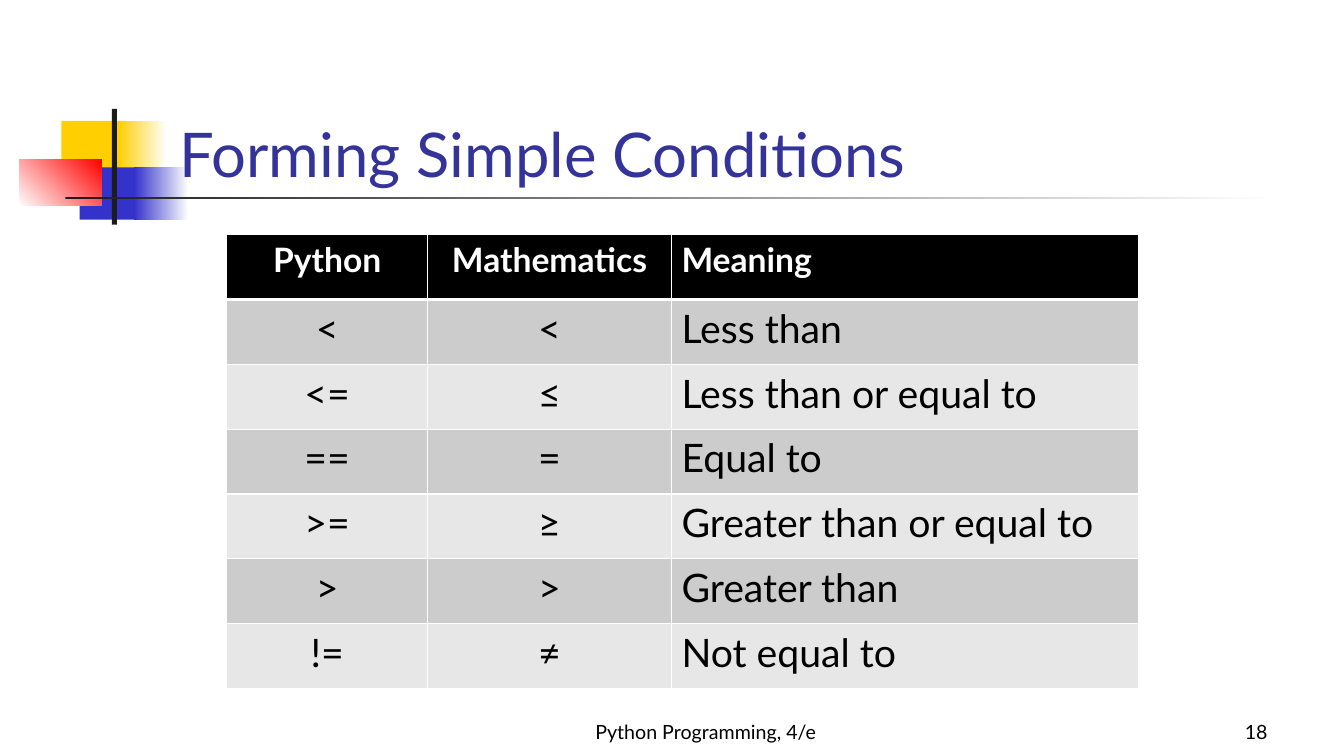
import pptx
import pptx.dml.color
import pptx.enum.shapes
import pptx.enum.text
import pptx.oxml
import pptx.oxml.ns
import pptx.util
from dataclasses import dataclass

Inches, Pt = pptx.util.Inches, pptx.util.Pt
Align, Anchor = pptx.enum.text.PP_ALIGN, pptx.enum.text.MSO_ANCHOR


@dataclass(frozen=True)
class Theme:
    font: str = "Lato"
    title: str = "333399"
    ink: str = "000000"
    paper: str = "FFFFFF"
    yellow: str = "FFCF01"
    blue: str = "3333CC"
    red: str = "FF0000"
    rule: str = "1C1C1C"
    bands: tuple = ("CCCCCC", "E7E7E7")
    title_size: int = 44
    body_size: int = 28
    header_size: int = 24
    footer_size: int = 14


THEME = Theme()
SLIDE = (13.33, 7.5)

TEXTS = [
    ("Python Programming, 4/e", (4.89, 6.92, 4.22, 0.5), Align.CENTER, THEME.footer_size, THEME.ink),
    ("18", (9.89, 6.92, 2.78, 0.5), Align.RIGHT, THEME.footer_size, THEME.ink),
    ("Forming Simple Conditions", (1.68, 0.68, 11.36, 1.25), Align.LEFT, THEME.title_size, THEME.title),
]

ORNAMENTS = [
    ((0.61, 1.2, 0.64, 0.52), (THEME.yellow,), 0),
    ((1.17, 1.2, 0.48, 0.52), (THEME.yellow, THEME.paper), 0),
    ((0.79, 1.66, 0.62, 0.52), (THEME.blue,), 0),
    ((1.33, 1.66, 0.54, 0.52), (THEME.blue, THEME.paper), 0),
    ((0.19, 1.58, 0.82, 0.46), (THEME.paper, THEME.red), 45),
    ((1.11, 1.08, 0.05, 1.15), (THEME.rule,), 0),
    ((0.65, 1.95, 12, 0.03), (THEME.rule, THEME.paper), 0),
]

CONDITIONS = [
    ("Python", "Mathematics", "Meaning"),
    ("<", "<", "Less than"),
    ("<=", "≤", "Less than or equal to"),
    ("==", "=", "Equal to"),
    (">=", "≥", "Greater than or equal to"),
    (">", ">", "Greater than"),
    ("!=", "≠", "Not equal to"),
]
TABLE_AT = (2.25, 2.33, 9.04, 4.5)
COLUMNS = [(1.99, Align.CENTER), (2.42, Align.CENTER), (4.63, Align.LEFT)]


def color(code):
    return pptx.dml.color.RGBColor.from_string(code)


def place(bounds):
    return [Inches(length) for length in bounds]


def write(frame, words, align, size, ink, bold=False):
    para = frame.paragraphs[0]
    para.text = words
    para.alignment = align
    para.font.name = THEME.font
    para.font.size = Pt(size)
    para.font.bold = bold
    para.font.color.rgb = color(ink)
    return para


def add_ornament(page, bounds, colors, angle):
    block = page.shapes.add_shape(pptx.enum.shapes.MSO_SHAPE.RECTANGLE, *place(bounds))
    block.shadow.inherit = False
    block.line.fill.background()
    if len(colors) == 1:
        block.fill.solid()
        block.fill.fore_color.rgb = color(colors[0])
        return
    block.fill.gradient()
    block.fill.gradient_angle = angle
    for stop, code, position in zip(block.fill.gradient_stops, colors, (0, 1)):
        stop.color.rgb = color(code)
        stop.position = position


def add_text(page, words, bounds, align, size, ink):
    frame = page.shapes.add_textbox(*place(bounds)).text_frame
    frame.word_wrap = True
    frame.vertical_anchor = Anchor.BOTTOM
    write(frame, words, align, size, ink)


def add_borders(cell, widths):
    properties = cell._tc.get_or_add_tcPr()
    for index, (side, width) in enumerate(widths.items()):
        properties.insert(index, pptx.oxml.parse_xml(
            f'<a:ln{side} {pptx.oxml.ns.nsdecls("a")} w="{Pt(width)}"><a:solidFill>'
            f'<a:srgbClr val="{THEME.paper}"/></a:solidFill></a:ln{side}>'))


def space_before(para, percent):
    para._p.get_or_add_pPr().insert(0, pptx.oxml.parse_xml(
        f'<a:spcBef {pptx.oxml.ns.nsdecls("a")}><a:spcPct val="{percent * 1000}"/></a:spcBef>'))


def add_conditions(page):
    table = page.shapes.add_table(len(CONDITIONS), len(COLUMNS), *place(TABLE_AT)).table
    for column, (width, _) in zip(table.columns, COLUMNS):
        column.width = Inches(width)
    for index, words in enumerate(CONDITIONS):
        header = index == 0
        size, ink, fill = (
            (THEME.header_size, THEME.paper, THEME.ink) if header
            else (THEME.body_size, THEME.ink, THEME.bands[(index - 1) % 2]))
        top, bottom = 3 if index == 1 else 1, 3 if header else 1
        for cell, text, (_, align) in zip(table.rows[index].cells, words, COLUMNS):
            cell.fill.solid()
            cell.fill.fore_color.rgb = color(fill)
            add_borders(cell, {"L": 1, "R": 1, "T": top, "B": bottom})
            space_before(write(cell.text_frame, text, align, size, ink, header), 20)


def main():
    deck = pptx.Presentation()
    deck.slide_width, deck.slide_height = place(SLIDE)
    page = deck.slides.add_slide(deck.slide_layouts[6])
    for ornament in ORNAMENTS:
        add_ornament(page, *ornament)
    for text in TEXTS:
        add_text(page, *text)
    add_conditions(page)
    deck.save("out.pptx")


if __name__ == "__main__":
    main()
